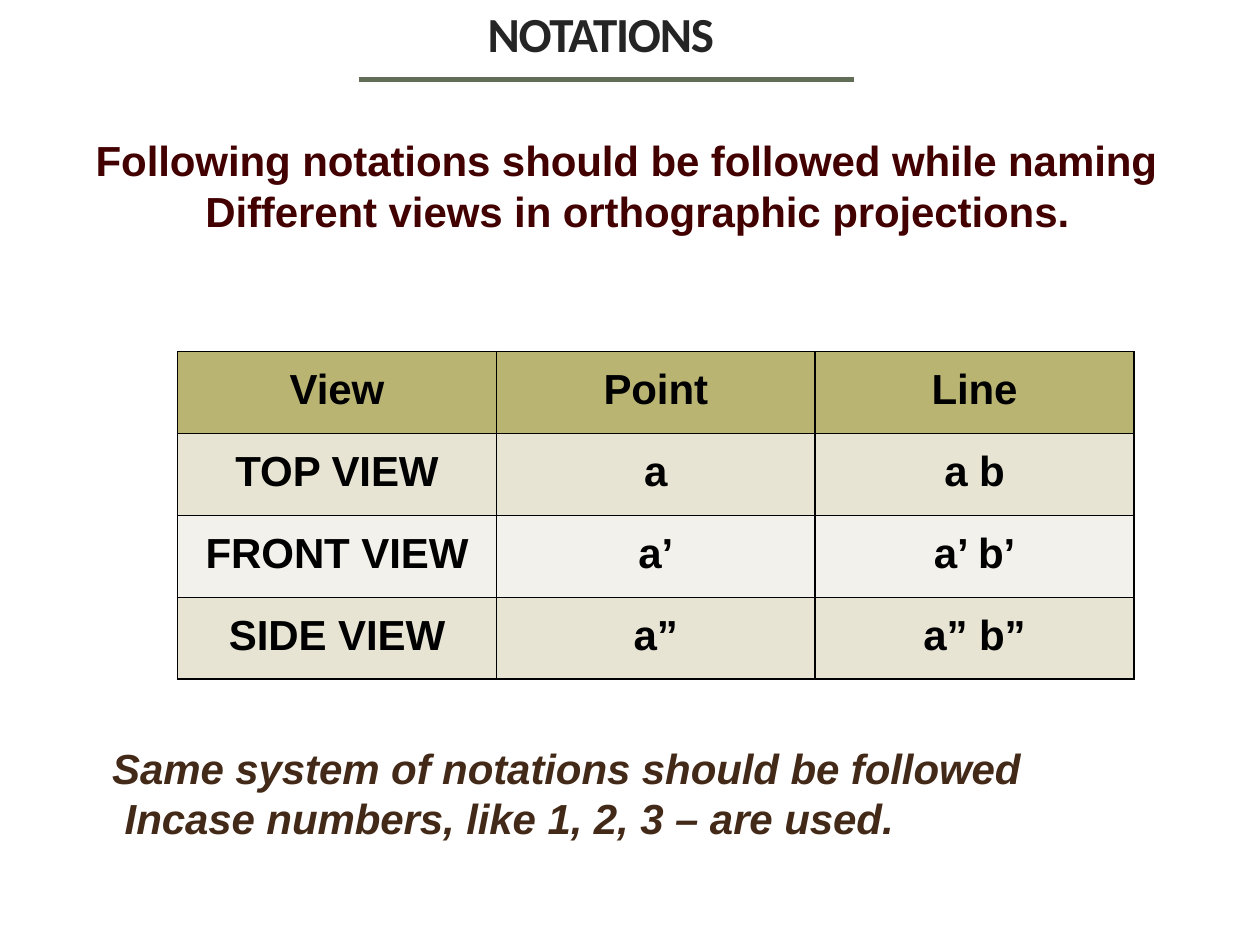
from pptx import Presentation
from pptx.dml.color import RGBColor
from pptx.enum.shapes import MSO_CONNECTOR
from pptx.enum.text import PP_ALIGN
from pptx.oxml import parse_xml
from pptx.oxml.ns import nsdecls
from pptx.util import Emu, Inches, Pt

# Content: box (left, top, width, height), hanging indent, font and text
TEXTS = [
    dict(box=(3.87, 0.02, 1.9, 0.49), hanging=0, font="Calibri", size=28,
         color="252525", italic=False, spacing=-0.7, text="NOTATIONS"),
    dict(box=(0.76, 1.06, 8.47, 0.83), hanging=0.87, font="Arial", size=24,
         color="420000", italic=False, spacing=-0.05,
         text="Following notations should be followed while naming\v"
              "Different views in orthographic projections."),
    dict(box=(0.89, 5.88, 7.27, 0.83), hanging=0.1, font="Arial", size=24,
         color="432917", italic=True, spacing=-0.05,
         text="Same system of notations should be followed\v"
              "Incase numbers, like 1, 2, 3 – are used."),
]
NOTATIONS = [
    ("View", "Point", "Line"),
    ("TOP VIEW", "a", "a b"),
    ("FRONT VIEW", "a’", "a’ b’"),
    ("SIDE VIEW", "a”", "a” b”"),
]
HEADER_FILL = "BAB473"
BAND_FILLS = ("E7E4D4", "F3F1EB")
TABLE_LEFT, TABLE_TOP = 1.41, 2.79
COLUMN_WIDTH, ROW_HEIGHT = 2.53, 0.65
RULE_LEFT, RULE_RIGHT, RULE_TOP = 2.85, 6.78, 0.63


def color(value):
    return RGBColor.from_string(value)


def format_runs(paragraph, font, size, text_color, italic=False, spacing=0):
    for run in paragraph.runs:
        run.font.name = font
        run.font.size = Pt(size)
        run.font.bold = True
        run.font.italic = italic
        run.font.color.rgb = color(text_color)
        run.font._element.set("spc", str(round(spacing * 100)))


def add_text(slide, item):
    shape = slide.shapes.add_textbox(*map(Inches, item["box"]))
    frame = shape.text_frame
    frame.word_wrap = True
    frame.margin_left = frame.margin_right = frame.margin_bottom = 0
    frame.margin_top = Inches(0.01)
    paragraph = frame.paragraphs[0]
    paragraph.text = item["text"]
    properties = paragraph._p.get_or_add_pPr()
    properties.set("marL", str(Inches(item["hanging"])))
    properties.set("indent", str(-Inches(item["hanging"])))
    format_runs(paragraph, item["font"], item["size"], item["color"],
                item["italic"], item["spacing"])


def add_borders(cell):
    properties = cell._tc.get_or_add_tcPr()
    for position, side in enumerate(("lnL", "lnR", "lnT", "lnB")):
        properties.insert(position, parse_xml(
            f'<a:{side} {nsdecls("a")} w="{Pt(1)}"><a:solidFill>'
            f'<a:srgbClr val="000000"/></a:solidFill></a:{side}>'))


def add_notation_table(slide):
    rows, columns = len(NOTATIONS), len(NOTATIONS[0])
    table = slide.shapes.add_table(
        rows, columns, Inches(TABLE_LEFT), Inches(TABLE_TOP),
        Inches(COLUMN_WIDTH * columns), Inches(ROW_HEIGHT * rows)).table
    for row, values in enumerate(NOTATIONS):
        fill = BAND_FILLS[(row - 1) % 2] if row else HEADER_FILL
        for column, value in enumerate(values):
            cell = table.cell(row, column)
            cell.margin_left = cell.margin_right = cell.margin_bottom = Emu(0)
            cell.margin_top = Inches(0.12)
            cell.fill.solid()
            cell.fill.fore_color.rgb = color(fill)
            add_borders(cell)
            paragraph = cell.text_frame.paragraphs[0]
            paragraph.text = value
            paragraph.alignment = PP_ALIGN.CENTER
            format_runs(paragraph, "Arial", 24, "000000", spacing=-0.05)


def add_title_rule(slide):
    rule = slide.shapes.add_connector(
        MSO_CONNECTOR.STRAIGHT, Inches(RULE_LEFT), Inches(RULE_TOP),
        Inches(RULE_RIGHT), Inches(RULE_TOP))
    rule.line.color.rgb = color("626D57")
    rule.line.width = Pt(3)
    rule._element.spPr.append(parse_xml(f'<a:effectLst {nsdecls("a")}/>'))


def main():
    presentation = Presentation()
    presentation.slide_width = Inches(10)
    presentation.slide_height = Inches(7.5)
    slide = presentation.slides.add_slide(presentation.slide_layouts[6])
    for item in TEXTS:
        add_text(slide, item)
    add_title_rule(slide)
    add_notation_table(slide)
    presentation.save("out.pptx")


if __name__ == "__main__":
    main()
